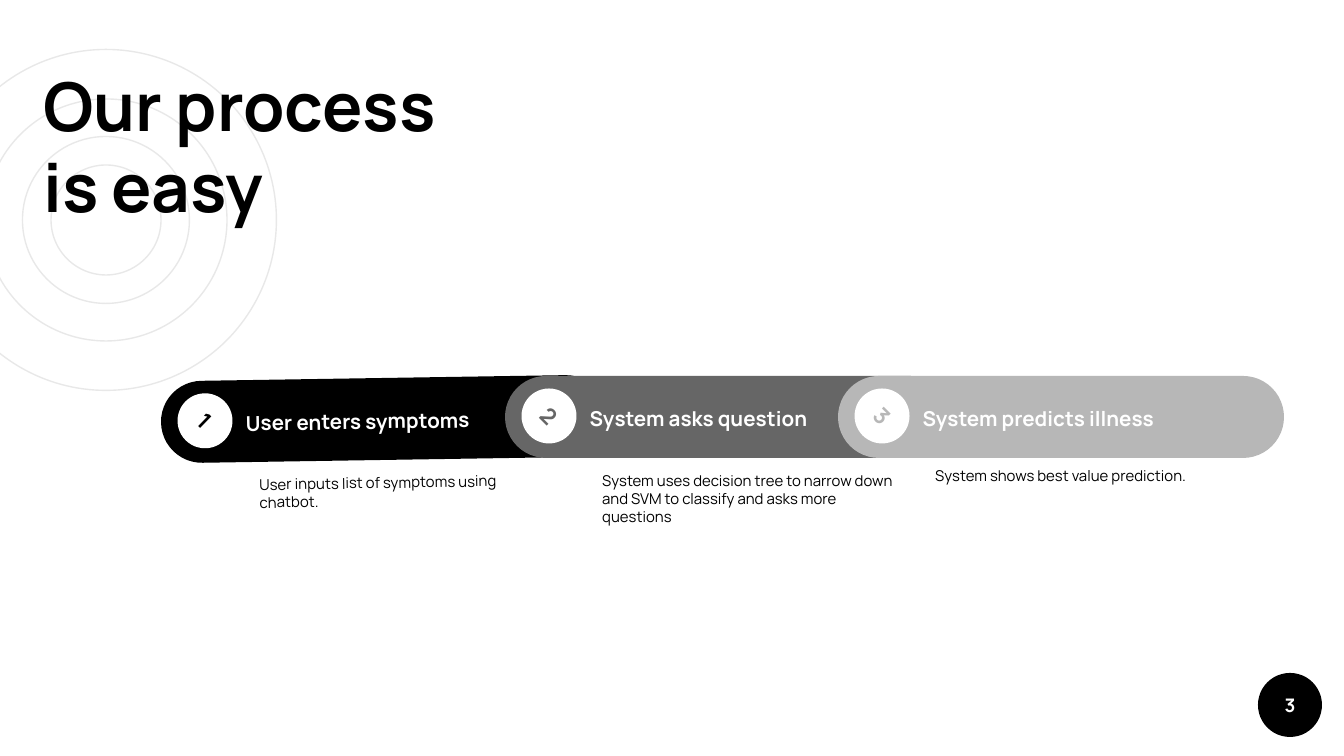
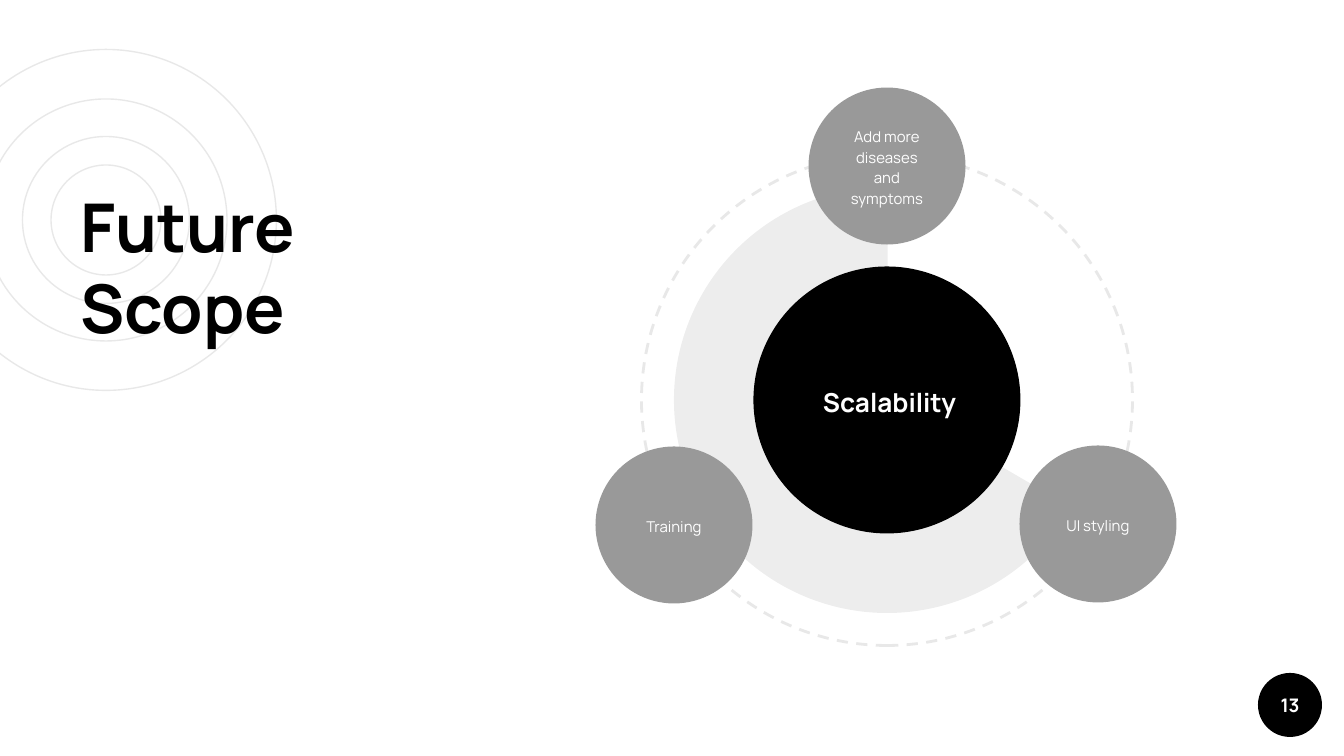
import math

import lxml.etree
import pptx
import pptx.dml.color
import pptx.enum.dml
import pptx.enum.shapes
import pptx.enum.text
import pptx.oxml.ns
import pptx.util

SCALE = 914400 / 134.4
BLACK, WHITE, RULE = "000000", "FFFFFF", "E8E8E8"
DARK_GREY, MID_GREY, LIGHT_GREY = "666666", "999999", "B7B7B7"
SHAPE = pptx.enum.shapes.MSO_SHAPE
ALIGN = pptx.enum.text.PP_ALIGN
ANCHOR = pptx.enum.text.MSO_ANCHOR


def px(length):
    return pptx.util.Emu(round(length * SCALE))


def color(value):
    return pptx.dml.color.RGBColor.from_string(value)


class Deck:
    font = "Manrope"

    def __init__(self):
        self.prs = pptx.Presentation()
        self.prs.slide_width, self.prs.slide_height = px(1344), px(756)
        self.slide = None

    def start(self, number, title, title_box):
        self.slide = self.prs.slides.add_slide(self.prs.slide_layouts[6])
        background = self.slide.background.fill
        background.solid()
        background.fore_color.rgb = color(WHITE)
        for diameter in (341, 167, 242, 110):
            self.circle((106, 220), diameter, line=RULE)
        badge = (1290, 705)
        self.circle(badge, 64, fill=BLACK)
        left, top, width, height = title_box
        self.text((left + width / 2, top + height / 2), (width, height), title, 36,
                  bold=True, anchor=ANCHOR.TOP)
        self.text(badge, (64, 64), number, 10, WHITE, bold=True, align=ALIGN.CENTER)

    def frame(self, center, size):
        (x, y), (width, height) = center, size
        return px(x - width / 2), px(y - height / 2), px(width), px(height)

    def shape(self, kind, center, size, fill=None, line=None, weight=0.75,
              rotation=0, alpha=None):
        shape = self.slide.shapes.add_shape(kind, *self.frame(center, size))
        shape.shadow.inherit = False
        shape.rotation = rotation
        if fill:
            shape.fill.solid()
            shape.fill.fore_color.rgb = color(fill)
        else:
            shape.fill.background()
        if alpha is not None:
            solid = shape._element.spPr.find(pptx.oxml.ns.qn("a:solidFill"))
            lxml.etree.SubElement(solid[0], pptx.oxml.ns.qn("a:alpha"), val=str(alpha * 1000))
        if line:
            shape.line.color.rgb = color(line)
            shape.line.width = pptx.util.Pt(weight)
        else:
            shape.line.fill.background()
        return shape

    def circle(self, center, diameter, **style):
        return self.shape(SHAPE.OVAL, center, (diameter, diameter), **style)

    def text(self, center, size, words, points, ink=BLACK, rotation=0, **style):
        box = self.slide.shapes.add_textbox(*self.frame(center, size))
        box.rotation = rotation
        self.label(box, words, points, ink, **style)

    def label(self, holder, words, points, ink, bold=False, align=ALIGN.LEFT,
              anchor=ANCHOR.MIDDLE, spacing=1.0, after=0):
        frame = holder.text_frame
        frame.word_wrap = True
        frame.vertical_anchor = anchor
        frame.margin_left = frame.margin_right = pptx.util.Inches(0.1)
        frame.margin_top = frame.margin_bottom = pptx.util.Inches(0.1)
        paragraph = frame.paragraphs[0]
        paragraph.text = words
        paragraph.alignment = align
        paragraph.line_spacing = spacing
        paragraph.space_after = pptx.util.Pt(after)
        paragraph.font.name = self.font
        paragraph.font.size = pptx.util.Pt(points)
        paragraph.font.bold = bold
        paragraph.font.color.rgb = color(ink)

    def step(self, number, center, tone, heading, detail, tilt=0):
        angle = math.radians(tilt)

        def place(dx, dy):
            return (center[0] + dx * math.cos(angle) - dy * math.sin(angle),
                    center[1] + dx * math.sin(angle) + dy * math.cos(angle))

        bar = self.shape(SHAPE.ROUNDED_RECTANGLE, center, (82, 446), fill=tone,
                         rotation=90 + tilt)
        bar.adjustments[0] = 0.5
        marker = self.circle(place(-179, -1), 55, fill=WHITE, rotation=45 + tilt)
        self.label(marker, number, 12, tone, bold=True, align=ALIGN.CENTER)
        self.text(place(20, 0), (343, 58), heading, 11, WHITE, rotation=tilt,
                  bold=True, spacing=1.15)
        self.text(place(23, 78), (324, 74), detail, 8, rotation=tilt,
                  anchor=ANCHOR.TOP, after=16)

    def bubble(self, center, diameter, tone, words, points, label_size, bold=False):
        self.circle(center, diameter, fill=tone)
        self.text(center, label_size, words, points, WHITE, bold=bold,
                  align=ALIGN.CENTER, spacing=1.15)


deck = Deck()

deck.start("3", "Our process is easy", (30, 51, 457, 101))
deck.step("1", (384, 419), BLACK, "User enters symptoms",
          "User inputs list of symptoms using chatbot.", tilt=-0.9)
deck.step("2", (728, 417), DARK_GREY, "System asks question",
          "System uses decision tree to narrow down and SVM to classify and asks more questions")
deck.step("3", (1061, 417), LIGHT_GREY, "System predicts illness",
          "System shows best value prediction.")

deck.start("13", "Future Scope", (67, 172, 441, 433))
hub = (887, 400)
orbit = deck.circle(hub, 491, line=RULE, weight=1.5, rotation=270)
orbit.line.dash_style = pptx.enum.dml.MSO_LINE.DASH
sector = deck.shape(SHAPE.PIE, hub, (426, 426), fill=BLACK, alpha=7)
sector.adjustments[0], sector.adjustments[1] = 18.12, 162.15
deck.bubble(hub, 267, BLACK, " Scalability", 14, (197, 121), bold=True)
for goal, center in (("Add more diseases and symptoms", (887, 166)),
                     ("Training", (674, 525)),
                     ("UI styling", (1098, 524))):
    deck.bubble(center, 157, MID_GREY, goal, 8, (111, 108))

deck.prs.save("out.pptx")
